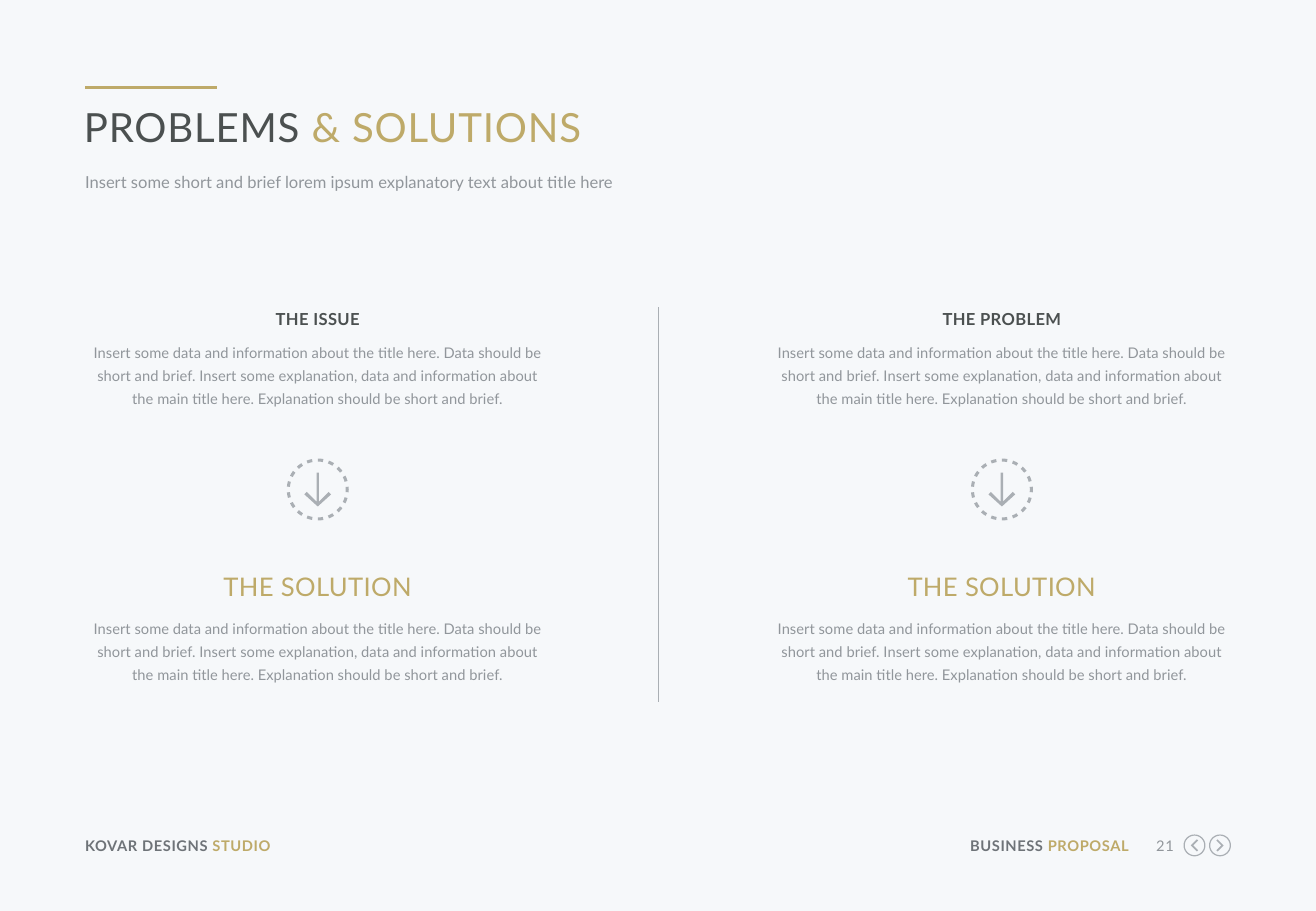
import math
from lxml import etree
from pptx import Presentation
from pptx import util as u
from pptx.dml.color import RGBColor
from pptx.enum import shapes, text
from pptx.oxml.ns import qn

C = {"bg": "F6F8FA", "gold": "BEAA69", "dark": "4B5050", "slate": "6E7378",
     "gray": "91969B", "icon": "AAAFB4"}
BODY = ("Insert some data and information about the title here. Data should be short "
        "and brief. Insert some explanation, data and information about the main title "
        "here. Explanation should be short and brief.")
LEFT, CENTER, RIGHT = text.PP_ALIGN.LEFT, text.PP_ALIGN.CENTER, text.PP_ALIGN.RIGHT

prs = Presentation()
prs.slide_width, prs.slide_height = u.Inches(10.83), u.Inches(7.5)
s = prs.slides.add_slide(prs.slide_layouts[6])
s.background.fill.solid()
s.background.fill.fore_color.rgb = RGBColor.from_string(C["bg"])


def add_text(x, y, w, h, runs, size, align=LEFT, bold=False, spc=0, spacing=None):
    tf = s.shapes.add_textbox(*map(u.Inches, (x, y, w, h))).text_frame
    tf.margin_left = tf.margin_right = tf.margin_top = tf.margin_bottom = 0
    tf.word_wrap = True
    p = tf.paragraphs[0]
    p.alignment = align
    if spacing:
        p.line_spacing = spacing
    for words, color in runs:
        r = p.add_run()
        r.text = words
        r.font.name, r.font.size, r.font.bold = "Lato", u.Pt(size), bold
        r.font.color.rgb = RGBColor.from_string(C[color])
        if spc:
            r.font._element.set("spc", str(spc))


def add_icon(cx, cy, contours):
    placed = [[(u.Inches(cx + x), u.Inches(cy + y)) for x, y in c] for c in contours]
    fb = s.shapes.build_freeform(*placed[0][0], scale=1.0)
    for i, c in enumerate(placed):
        if i:
            fb.move_to(*c[0])
        fb.add_line_segments(c[1:], close=True)
    sp = fb.convert_to_shape()
    sp.shadow.inherit = False
    sp.fill.solid()
    sp.fill.fore_color.rgb = RGBColor.from_string(C["icon"])
    sp.line.fill.background()


for x1, y1, x2, y2, color, width in [(0.7, 0.72, 1.79, 0.72, "gold", 2.25),
                                     (5.42, 2.53, 5.42, 5.78, "icon", 0.75)]:
    line = s.shapes.add_connector(shapes.MSO_CONNECTOR.STRAIGHT,
                                  *map(u.Inches, (x1, y1, x2, y2)))
    line.line.color.rgb = RGBColor.from_string(C[color])
    line.line.width = u.Pt(width)
    etree.SubElement(line._element.spPr, qn("a:effectLst"))

add_text(0.69, 0.84, 9.42, 0.41,
         [("PROBLEMS ", "dark"), ("& SOLUTIONS", "gold")], 23.8, spc=50)
add_text(0.7, 1.4, 9.42, 0.21,
         [("Insert some short and brief lorem ipsum explanatory text about title here",
           "gray")], 9.8, spacing=u.Pt(13))

dashes = []
for k in range(17):
    mid = 360 / 17 * k
    dashes.append([(radius * math.cos(math.radians(mid + turn)),
                    radius * math.sin(math.radians(mid + turn)))
                   for radius, turn in [(0.255, -5.2), (0.255, 0), (0.255, 5.2),
                                        (0.23, 5.2), (0.23, 0), (0.23, -5.2)]])
half_arrow = [(0.01, -0.14), (0.01, 0.1), (0.09, 0.02), (0.11, 0.04), (0, 0.14)]
arrow = half_arrow + [(-x, y) for x, y in reversed(half_arrow[:-1])]

for x, heading in [(0.73, "THE ISSUE"), (6.36, "THE PROBLEM")]:
    add_text(x, 2.54, 3.77, 0.16, [(heading, "dark")], 9.8, CENTER, True, 20)
    add_text(x, 4.7, 3.77, 0.26, [("THE SOLUTION", "gold")], 15.2, CENTER, spc=20)
    for y in (2.79, 5.06):
        add_text(x, y, 3.77, 0.57, [(BODY, "gray")], 8.7, CENTER, spacing=1.3)
    add_icon(x + 1.885, 4.03, dashes + [arrow])

add_text(0.7, 6.89, 2.11, 0.15,
         [("KOVAR DESIGNS ", "slate"), ("STUDIO", "gold")], 8.7, LEFT, True, 30)
add_text(7.92, 6.89, 1.37, 0.15,
         [("BUSINESS ", "slate"), ("PROPOSAL", "gold")], 8.7, RIGHT, True, 30)
add_text(9.41, 6.89, 0.25, 0.15, [("21", "gray")], 8.7, RIGHT, spc=30)

rings = [[(radius * math.cos(math.radians(a)), radius * math.sin(math.radians(a)))
          for a in range(0, 360, 6)] for radius in (0.09, 0.08)]
chevron = [(-0.03, -0.04), (0.01, 0), (-0.03, 0.04), (-0.02, 0.05),
           (0.03, 0), (-0.02, -0.05)]
for cx, side in [(9.83, -1), (10.04, 1)]:
    add_icon(cx, 6.96, rings + [[(side * x, y) for x, y in chevron]])

prs.save("out.pptx")
